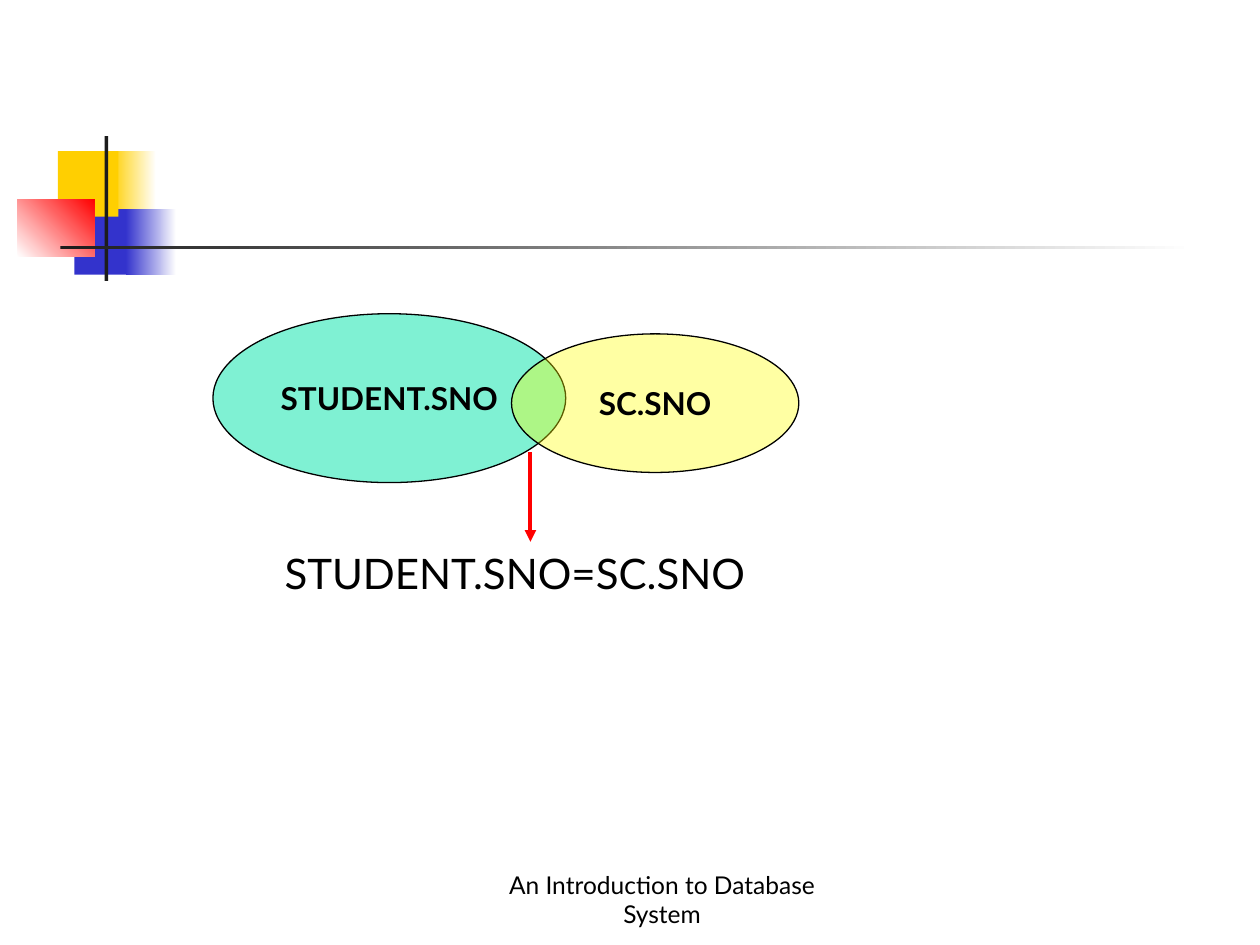
from lxml import etree
from pptx import Presentation
from pptx.dml.color import RGBColor
from pptx.enum import shapes, text
from pptx.oxml import ns
from pptx.util import Inches, Pt

FONT = "Lato"
BLACK = RGBColor(0x00, 0x00, 0x00)
WHITE = RGBColor(0xFF, 0xFF, 0xFF)
DARK = RGBColor(0x1C, 0x1C, 0x1C)
GOLD = RGBColor(0xFF, 0xCF, 0x01)
BLUE = RGBColor(0x33, 0x33, 0xCC)
RED = RGBColor(0xFF, 0x00, 0x00)
TEAL = RGBColor(0x00, 0xE4, 0xA8)
YELLOW = RGBColor(0xFF, 0xFF, 0x00)


def add_plain_shape(slide, kind, box, color):
    shape = slide.shapes.add_shape(kind, *map(Inches, box))
    shape.shadow.inherit = False
    shape.fill.solid()
    shape.fill.fore_color.rgb = color
    shape.line.fill.background()
    return shape


def add_block(slide, box, color, end_color=None, angle=0):
    """Rectangle, with a gradient when an end colour is given."""
    shape = add_plain_shape(slide, shapes.MSO_SHAPE.RECTANGLE, box, color)
    if end_color is not None:
        shape.fill.gradient()
        shape.fill.gradient_angle = angle
        for stop, stop_color in zip(shape.fill.gradient_stops, (color, end_color)):
            stop.color.rgb = stop_color
    return shape


def set_text(shape, content, size, bold=False, wrap=True,
             align=text.PP_ALIGN.CENTER, anchor=text.MSO_ANCHOR.MIDDLE):
    frame = shape.text_frame
    frame.text = content
    frame.word_wrap = wrap
    frame.vertical_anchor = anchor
    paragraph = frame.paragraphs[0]
    paragraph.alignment = align
    font = paragraph.runs[0].font
    font.name, font.size, font.bold = FONT, Pt(size), bold
    font.color.rgb = BLACK


def add_set(slide, box, color, opacity, label):
    """Translucent ellipse of the Venn diagram."""
    ellipse = add_plain_shape(slide, shapes.MSO_SHAPE.OVAL, box, color)
    solid_color = ellipse.fill._xPr.find(".//" + ns.qn("a:srgbClr"))
    etree.SubElement(solid_color, ns.qn("a:alpha"), val=str(opacity * 1000))
    ellipse.line.color.rgb = BLACK
    ellipse.line.width = Pt(0.75)
    set_text(ellipse, label, 18, bold=True, wrap=False)


def add_arrow(slide, start, end, color, width):
    arrow = slide.shapes.add_connector(
        shapes.MSO_CONNECTOR.STRAIGHT, *map(Inches, start + end))
    arrow.line.color.rgb = color
    arrow.line.width = Pt(width)
    etree.SubElement(arrow.line._get_or_add_ln(), ns.qn("a:tailEnd"), type="triangle")
    etree.SubElement(arrow._element.spPr, ns.qn("a:effectLst"))


def add_decoration(slide):
    add_block(slide, (0.88, 1.2, 0.36, 0.52), GOLD, WHITE)
    add_block(slide, (0.59, 1.66, 0.46, 0.52), BLUE)
    add_block(slide, (0.46, 1.2, 0.48, 0.52), GOLD)
    add_block(slide, (1, 1.66, 0.4, 0.52), BLUE, WHITE)
    add_block(slide, (0.14, 1.58, 0.61, 0.46), WHITE, RED, angle=45)
    add_block(slide, (0.83, 1.08, 0.03, 1.15), DARK)
    add_block(slide, (0.48, 1.95, 9, 0.03), DARK, WHITE)


def main():
    presentation = Presentation()
    presentation.slide_width, presentation.slide_height = Inches(10), Inches(7.5)
    slide = presentation.slides.add_slide(presentation.slide_layouts[6])

    # Corner blocks and title rule
    add_decoration(slide)

    # Join condition
    condition = slide.shapes.add_textbox(*map(Inches, (2.16, 4.3, 4.65, 0.5)))
    set_text(condition, "STUDENT.SNO=SC.SNO", 24,
             align=text.PP_ALIGN.LEFT, anchor=text.MSO_ANCHOR.TOP)

    # Overlapping sets, with an arrow from the overlap to the condition
    add_set(slide, (1.69, 2.49, 2.8, 1.34), TEAL, 50, "STUDENT.SNO")
    add_set(slide, (4.06, 2.65, 2.28, 1.1), YELLOW, 36, "SC.SNO")
    add_arrow(slide, (4.21, 3.59), (4.21, 4.3), RED, 2.25)

    # Footer
    footer = add_block(slide, (3.67, 6.92, 3.17, 0.5), WHITE)
    set_text(footer, "An Introduction to Database System", 14,
             anchor=text.MSO_ANCHOR.BOTTOM)

    presentation.save("out.pptx")


if __name__ == "__main__":
    main()
